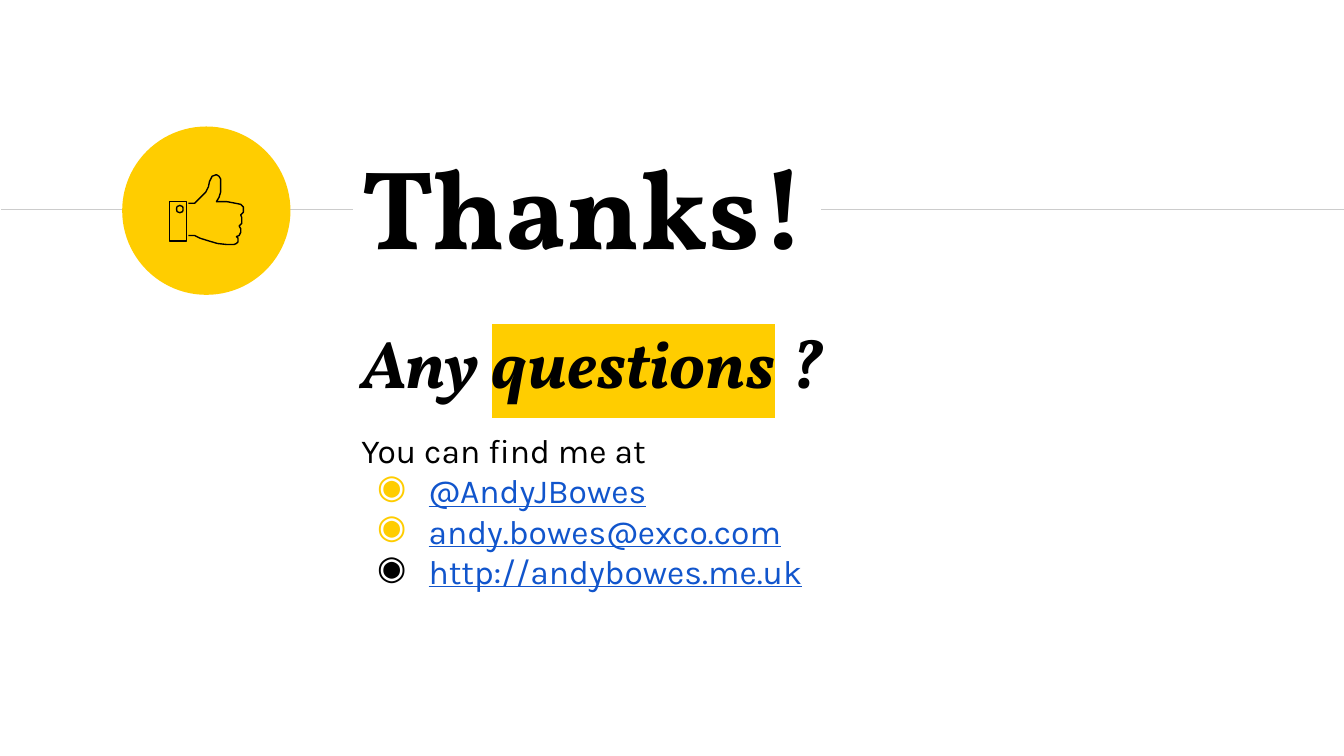
import math
from lxml import etree
from pptx import Presentation
from pptx import util as u
from pptx.dml.color import RGBColor
from pptx.enum import shapes, text
from pptx.oxml.ns import qn

COLORS = {"yellow": "FFCD00", "black": "000000", "rule": "CCCCCC", "link": "1155CC"}


def add_text_box(left, top, width, height, anchor):
    frame = slide.shapes.add_textbox(u.Cm(left), u.Cm(top), u.Cm(width), u.Cm(height)).text_frame
    frame.word_wrap = True
    frame.vertical_anchor = anchor
    frame.margin_left = frame.margin_right = u.Cm(0.25)
    frame.margin_top = frame.margin_bottom = u.Cm(0.25)
    return frame


def style(run, font, size, color="black", emphasis=False):
    run.font.name = font
    run.font.size = u.Pt(size)
    run.font.bold = emphasis
    run.font.color.rgb = RGBColor.from_string(COLORS[color])


prs = Presentation()
prs.slide_width, prs.slide_height = u.Cm(25.4), u.Cm(14.28)
slide = prs.slides.add_slide(prs.slide_layouts[6])

# Rule on both sides of the title
for start, end in [(0.02, 6.68), (15.52, 25.4)]:
    rule = slide.shapes.add_connector(
        shapes.MSO_CONNECTOR.STRAIGHT, u.Cm(start), u.Cm(3.96), u.Cm(end), u.Cm(3.96))
    rule.line.color.rgb = RGBColor.from_string(COLORS["rule"])
    rule.line.width = u.Pt(0.75)
    etree.SubElement(rule._element.spPr, qn("a:effectLst"))

# Title
title = add_text_box(6.58, 2.26, 13.64, 3.23, text.MSO_ANCHOR.MIDDLE)
title.text = "Thanks!"
style(title.paragraphs[0].runs[0], "Vollkorn", 60, emphasis=True)

# Question and contact details
body = add_text_box(6.58, 5.82, 13.94, 2.18, text.MSO_ANCHOR.TOP)
question = body.paragraphs[0]
for words in ["Any ", "questions", " ?"]:
    run = question.add_run()
    run.text = words
    style(run, "Vollkorn", 36, emphasis=True)
    run.font.italic = True
    if words == "questions":
        highlight = etree.Element(qn("a:highlight"))
        etree.SubElement(highlight, qn("a:srgbClr"), val=COLORS["yellow"])
        run.font._element.find(qn("a:solidFill")).addnext(highlight)

intro = body.add_paragraph()
intro.text = "You can find me at"
intro.space_before = u.Pt(15)
style(intro.runs[0], "Karla", 18)

for address, bullet_color in [("@AndyJBowes", "yellow"),
                              ("andy.bowes@exco.com", "yellow"),
                              ("http://andybowes.me.uk", "black")]:
    contact = body.add_paragraph()
    contact.text = address
    style(contact.runs[0], "Karla", 18, "link")
    contact.runs[0].font.underline = True
    props = contact._p.get_or_add_pPr()
    props.set("marL", str(u.Cm(1.27)))
    props.set("indent", str(u.Cm(-0.97)))
    bullet = etree.SubElement(props, qn("a:buClr"))
    etree.SubElement(bullet, qn("a:srgbClr"), val=COLORS[bullet_color])
    etree.SubElement(props, qn("a:buChar"), char="◉")

# Badge
badge = slide.shapes.add_shape(
    shapes.MSO_SHAPE.OVAL, u.Cm(2.31), u.Cm(2.39), u.Cm(3.18), u.Cm(3.18))
badge.shadow.inherit = False
badge.fill.solid()
badge.fill.fore_color.rgb = RGBColor.from_string(COLORS["yellow"])
badge.line.fill.background()

# Thumbs-up outline, in hundredths of a centimetre
cuff = [(320, 381), (320, 455), (353, 455), (353, 381)]
button = [(340 + 6.5 * math.cos(step * math.pi / 8), 395 + 6.5 * math.sin(step * math.pi / 8))
          for step in range(16)]
hand = [(356, 445), (368, 445), (378, 450), (394, 455), (411, 460), (429, 462), (442, 462),
        (447, 460), (450, 457), (450, 450), (447, 447), (452, 445), (455, 439), (455, 432),
        (452, 427), (457, 422), (457, 411), (455, 406), (460, 401), (460, 391), (455, 386),
        (445, 384), (429, 381), (409, 381), (414, 373), (417, 363), (417, 338), (414, 333),
        (409, 330), (401, 333), (396, 343), (394, 353), (389, 363), (376, 376), (368, 384),
        (356, 384)]
for contours, closed in [([cuff, button], True), ([hand], False)]:
    builder = slide.shapes.build_freeform(*contours[0][0], scale=u.Cm(0.01))
    for contour in contours:
        builder.move_to(*contour[0])
        builder.add_line_segments(contour[1:], close=closed)
    outline = builder.convert_to_shape()
    outline.shadow.inherit = False
    outline.fill.background()
    outline.line.color.rgb = RGBColor.from_string(COLORS["black"])
    outline.line.width = u.Pt(0.75)

prs.save("out.pptx")
